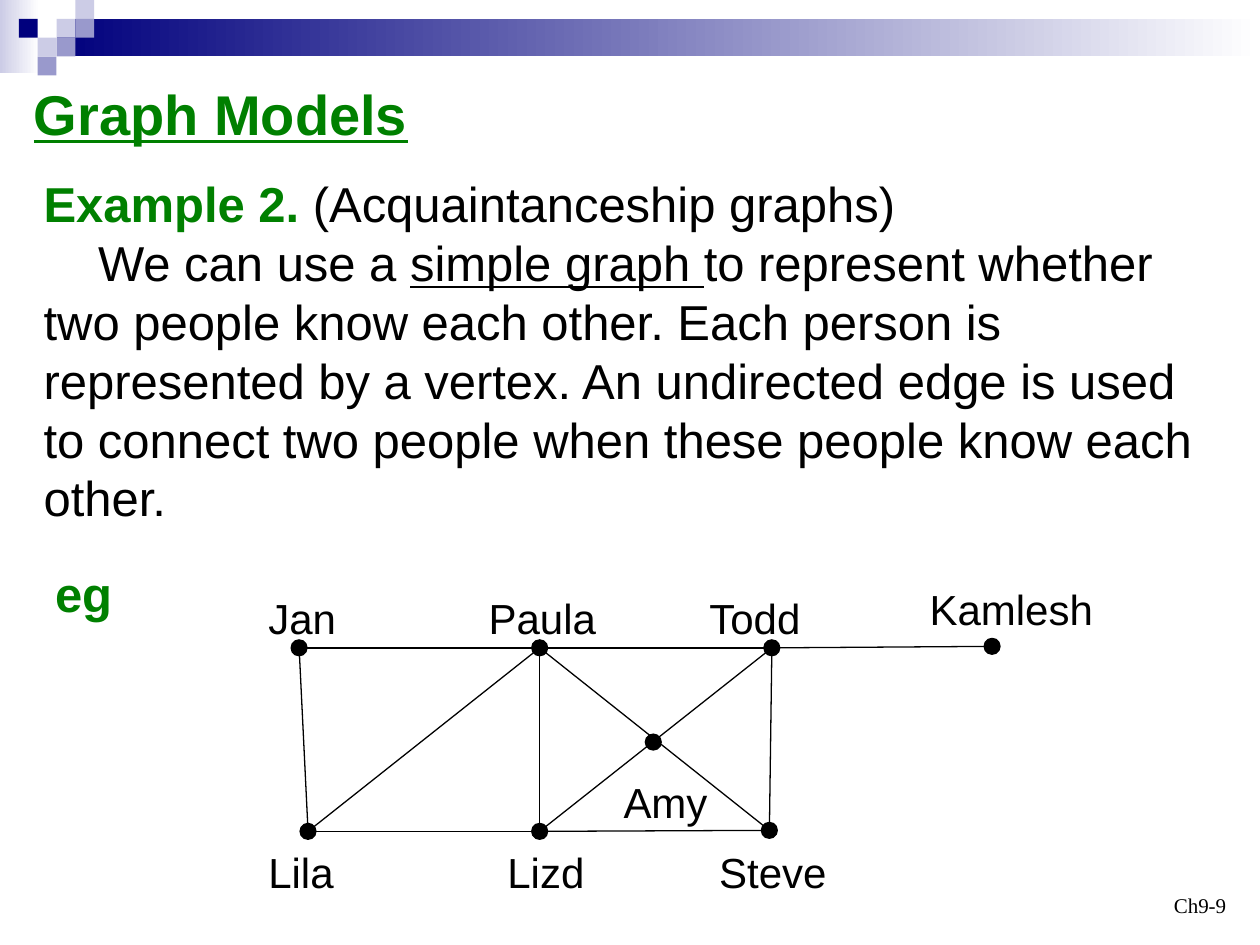
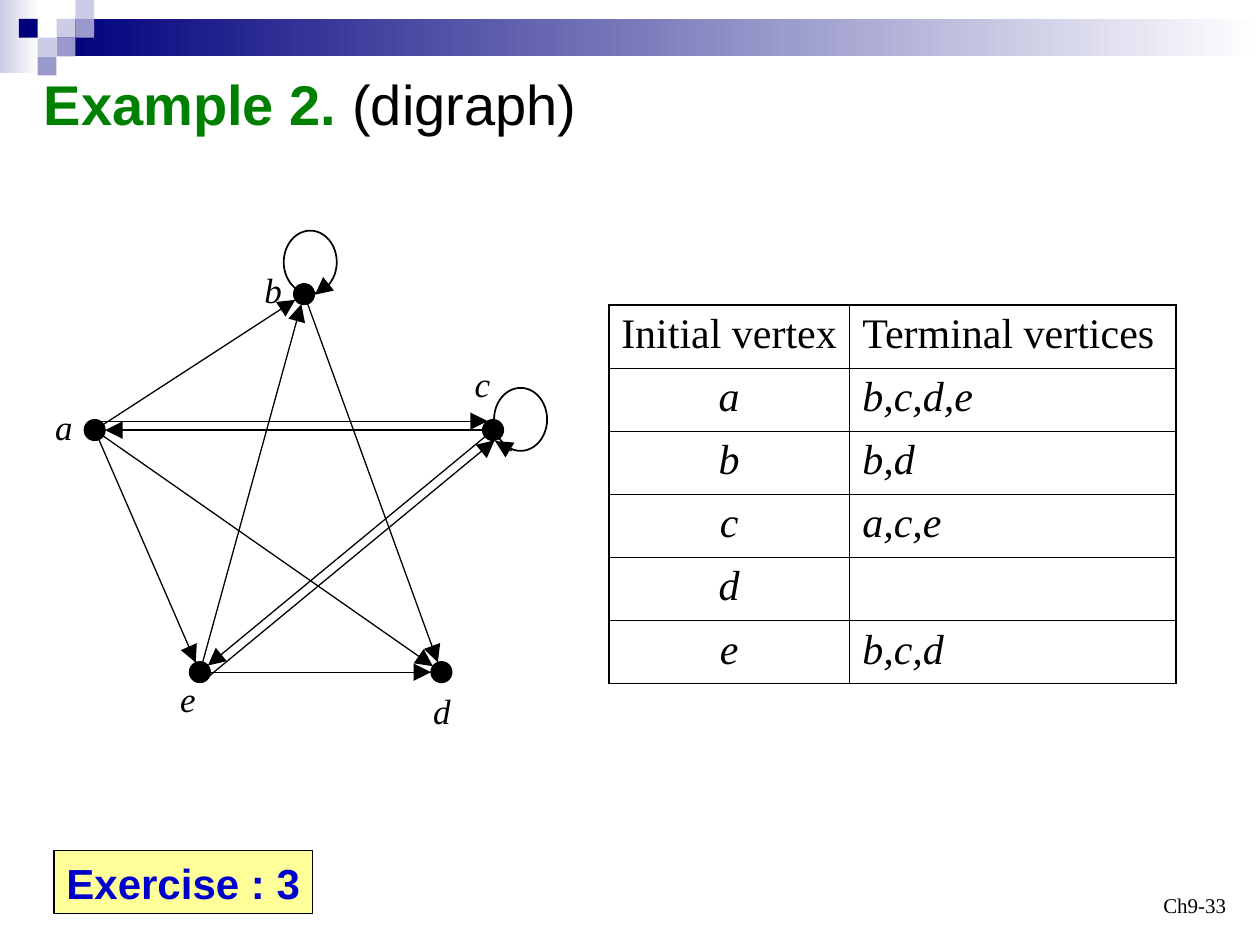
from math import hypot, sqrt

from lxml import etree
from pptx import Presentation
from pptx.dml.color import RGBColor
from pptx.enum.shapes import MSO_CONNECTOR, MSO_SHAPE
from pptx.enum.text import MSO_ANCHOR, MSO_AUTO_SIZE, PP_ALIGN
from pptx.oxml.ns import qn
from pptx.util import Cm, Pt

STRAIGHT = MSO_CONNECTOR.STRAIGHT
OVAL, RECTANGLE = MSO_SHAPE.OVAL, MSO_SHAPE.RECTANGLE
TOP, BOTTOM = MSO_ANCHOR.TOP, MSO_ANCHOR.BOTTOM
LEFT, CENTER, RIGHT = PP_ALIGN.LEFT, PP_ALIGN.CENTER, PP_ALIGN.RIGHT
NO_AUTOFIT = MSO_AUTO_SIZE.NONE

BLACK = RGBColor(0x00, 0x00, 0x00)
WHITE = RGBColor(0xFF, 0xFF, 0xFF)
GREEN = RGBColor(0x00, 0x80, 0x00)
NAVY = RGBColor(0x00, 0x00, 0x7D)
LAVENDER = RGBColor(0xCC, 0xCC, 0xE6)
PERIWINKLE = RGBColor(0x99, 0x99, 0xCC)
YELLOW = RGBColor(0xFF, 0xFF, 0x99)
BLUE = RGBColor(0x00, 0x00, 0xCC)

SANS, SERIF = "Arial", "Times New Roman"
HAIRLINE = 0.75
TILE = 0.38
TILES = [(3, 1, LAVENDER), (4, 0, LAVENDER), (4, 1, PERIWINKLE), (2, 2, LAVENDER),
         (1, 1, NAVY), (3, 2, PERIWINKLE), (2, 3, PERIWINKLE)]

PEOPLE = {
    "Jan": (1.03, 1.46), "Paula": (5.88, 1.46), "Todd": (10.56, 1.46),
    "Kamlesh": (15, 1.43), "Lila": (1.21, 5.16), "Lizd": (5.88, 5.16),
    "Steve": (10.51, 5.14), "Amy": (8.17, 3.36),
}
PEOPLE_LABELS = {
    "Jan": (0.16, 0.21, 2.1), "Paula": (4.6, 0.21, 2.9), "Todd": (9.05, 0.21, 2.7),
    "Kamlesh": (13.49, 0.03, 4.1), "Lila": (0.16, 5.34, 2.1),
    "Lizd": (4.98, 5.34, 2.3), "Steve": (9.25, 5.34, 2.9), "Amy": (7.32, 3.92, 2.5),
}
ACQUAINTANCES = [
    ("Jan", "Paula"), ("Jan", "Lila"), ("Paula", "Lizd"), ("Paula", "Steve"),
    ("Paula", "Lila"), ("Lila", "Lizd"), ("Paula", "Todd"), ("Todd", "Kamlesh"),
    ("Todd", "Steve"), ("Lizd", "Steve"), ("Todd", "Lizd"),
]

VERTICES = {"a": (1.11, 4.07), "b": (5.33, 1.33), "c": (9.14, 4.07),
            "d": (8.1, 8.95), "e": (3.23, 8.95)}
VERTEX_LABELS = {"a": (0.06, 3.45), "b": (4.28, 0.68), "c": (8.52, 2.59),
                 "d": (7.68, 9.17), "e": (2.58, 8.94)}
ARCS = [("a", "b", 0), ("a", "c", -0.18), ("a", "d", 0), ("a", "e", 0), ("b", "d", 0),
        ("c", "a", 0), ("c", "e", 0), ("e", "b", 0), ("e", "c", 0.18), ("e", "d", 0)]
LOOPS = {"b": ((-0.41, -1.28), (0.47, -0.19), (0.22, 0.01)),
         "c": ((0.02, -0.85), (0.37, 0.42), (0.04, 0.22))}
VERTEX_RADIUS = 0.21

ADJACENCY = [("Initial vertex", "Terminal vertices"), ("a", "b,c,d,e"), ("b", "b,d"),
             ("c", "a,c,e"), ("d", ""), ("e", "b,c,d")]


def set_font(font, size, name=SANS, color=BLACK, bold=False, italic=False):
    """Give a font its face, size, colour and weight."""
    font.name, font.size, font.bold, font.italic = name, Pt(size), bold, italic
    font.color.rgb = color


def add_text(slide, box, text, size, **style):
    """Add a one-paragraph text box and return its frame."""
    frame = slide.shapes.add_textbox(*map(Cm, box)).text_frame
    frame.word_wrap = True
    frame.text = text
    set_font(frame.paragraphs[0].font, size, **style)
    return frame


def add_figure(slide, preset, box, fill=None, line=None, weight=HAIRLINE):
    """Add a flat preset shape with an optional fill and outline."""
    figure = slide.shapes.add_shape(preset, *map(Cm, box))
    figure.shadow.inherit = False
    if fill is None:
        figure.fill.background()
    else:
        figure.fill.solid()
        figure.fill.fore_color.rgb = fill
    if line is None:
        figure.line.fill.background()
    else:
        figure.line.color.rgb = line
        figure.line.width = Pt(weight)
    return figure


def add_dot(slide, x, y, radius):
    """Add a black vertex centred on a point."""
    add_figure(slide, OVAL, (x - radius, y - radius, 2 * radius, 2 * radius), BLACK, BLACK)


def add_edge(slide, start, end, arrow=False):
    """Add a straight edge, with an arrowhead at its end if asked."""
    edge = slide.shapes.add_connector(STRAIGHT, *map(Cm, (*start, *end)))
    edge.line.color.rgb = BLACK
    edge.line.width = Pt(HAIRLINE)
    properties = edge.line._get_or_add_ln()
    if arrow:
        etree.SubElement(properties, qn("a:tailEnd"), type="triangle", w="lg", len="lg")
    etree.SubElement(edge._element.spPr, qn("a:effectLst"))


def add_gradient_band(slide, box, color):
    """Add a band that fades from a colour to white."""
    band = add_figure(slide, RECTANGLE, box)
    band.fill.gradient()
    band.fill.gradient_angle = 0
    for stop, shade in zip(band.fill.gradient_stops, (color, WHITE)):
        stop.color.rgb = shade


def add_page(deck, title_box, title_runs, page):
    """Add a slide with the shared header, its title and page number."""
    slide = deck.slides.add_slide(deck.slide_layouts[5])
    add_gradient_band(slide, (0, 0, 0.79, 1.47), LAVENDER)
    add_gradient_band(slide, (3 * TILE, TILE, 25.4 - 3 * TILE, 2 * TILE), NAVY)
    for column, row, color in TILES:
        add_figure(slide, RECTANGLE, (column * TILE, row * TILE, TILE, TILE), color)

    title = slide.shapes.title
    title.left, title.top, title.width, title.height = map(Cm, title_box)
    frame = title.text_frame
    frame.auto_size = NO_AUTOFIT
    frame.vertical_anchor = TOP
    heading = frame.paragraphs[0]
    heading.alignment = LEFT
    for text, color, bold, underline in title_runs:
        run = heading.add_run()
        run.text = text
        set_font(run.font, 32, color=color, bold=bold)
        run.font.underline = underline

    number = add_text(slide, (19.05, 17.35, 5.92, 1.27), page, 12, name=SERIF)
    number.vertical_anchor = BOTTOM
    number.paragraphs[0].alignment = RIGHT
    return slide


def add_explanation(slide, box):
    """Add the text that explains acquaintanceship graphs."""
    frame = slide.shapes.add_textbox(*map(Cm, box)).text_frame
    frame.word_wrap = True
    heading, body = frame.paragraphs[0], frame.add_paragraph()
    body._p.get_or_add_pPr().set("indent", str(Cm(1.1)))
    set_font(body.font, 28)
    for text, color, bold in (("Example 2.", GREEN, True),
                              (" (Acquaintanceship graphs)", BLACK, False)):
        run = heading.add_run()
        run.text = text
        set_font(run.font, 28, color=color, bold=bold)
    for text, underline in (
            ("We can use a ", False), ("simple graph ", True),
            ("to represent whether two people know each other. Each person is "
             "represented by a vertex. An undirected edge is used to connect two "
             "people when these people know each other.", False)):
        run = body.add_run()
        run.text = text
        run.font.underline = underline


def add_acquaintance_graph(slide, left, top):
    """Draw the people, their names and who knows whom."""
    places = {name: (left + x, top + y) for name, (x, y) in PEOPLE.items()}
    for one, other in ACQUAINTANCES:
        add_edge(slide, places[one], places[other])
    for name, place in places.items():
        add_dot(slide, *place, 0.16)
        x, y, width = PEOPLE_LABELS[name]
        add_text(slide, (left + x, top + y, width, 1.27), name, 24)


def add_arc(slide, start, end, shift):
    """Draw an arrow that stops at a vertex rim, moved sideways by shift."""
    dx, dy = end[0] - start[0], end[1] - start[1]
    length = hypot(dx, dy)
    ux, uy = dx / length, dy / length
    reach = length - sqrt(VERTEX_RADIUS ** 2 - shift ** 2)
    x, y = start[0] - uy * shift, start[1] + ux * shift
    add_edge(slide, (x, y), (x + ux * reach, y + uy * reach), arrow=True)


def add_digraph(slide, left, top):
    """Draw the directed graph with its loops and vertex names."""
    places = {name: (left + x, top + y) for name, (x, y) in VERTICES.items()}
    for origin, target, shift in ARCS:
        add_arc(slide, places[origin], places[target], shift)
    for name, offsets in LOOPS.items():
        x, y = places[name]
        corner, start, end = [(x + dx, y + dy) for dx, dy in offsets]
        add_figure(slide, OVAL, (*corner, 1.07, 1.27), line=BLACK, weight=1)
        add_edge(slide, start, end, arrow=True)
    for name, place in places.items():
        add_dot(slide, *place, VERTEX_RADIUS)
        x, y = VERTEX_LABELS[name]
        add_text(slide, (left + x, top + y, 0.9, 1.12), name, 20, name=SERIF, italic=True)


def set_borders(cell, weights):
    """Set the left, right, top and bottom borders of a cell."""
    properties = cell._tc.get_or_add_tcPr()
    for side, weight in zip("LRTB", weights):
        border = etree.SubElement(properties, qn(f"a:ln{side}"), w=str(Pt(weight)))
        fill = etree.SubElement(border, qn("a:solidFill"))
        etree.SubElement(fill, qn("a:srgbClr"), val=str(BLACK))


def add_adjacency_table(slide, left, top):
    """Add the table of initial and terminal vertices."""
    widths, row_height = (4.86, 6.57), 1.27
    last_row, last_column = len(ADJACENCY) - 1, len(widths) - 1
    table = slide.shapes.add_table(
        len(ADJACENCY), len(widths), Cm(left), Cm(top),
        Cm(sum(widths)), Cm(row_height * len(ADJACENCY))).table
    table.first_row = table.horz_banding = False
    for column, width in zip(table.columns, widths):
        column.width = Cm(width)
    for r, entries in enumerate(ADJACENCY):
        for c, entry in enumerate(entries):
            cell = table.cell(r, c)
            outer = (c == 0, c == last_column, r == 0, r == last_row)
            set_borders(cell, [1.08 if edge else 0.45 for edge in outer])
            cell.fill.background()
            cell.text = entry
            paragraph = cell.text_frame.paragraphs[0]
            paragraph.alignment = CENTER if r and c == 0 else LEFT
            set_font(paragraph.font, 24, name=SERIF, italic=r > 0)


def add_exercise(slide, box):
    """Add the yellow exercise tag."""
    tag = add_figure(slide, RECTANGLE, box, YELLOW, BLACK)
    frame = tag.text_frame
    frame.word_wrap = True
    frame.margin_right = Cm(0.1)
    frame.text = "Exercise : 3"
    frame.paragraphs[0].alignment = LEFT
    set_font(frame.paragraphs[0].font, 24, color=BLUE, bold=True)


def build_graph_models(deck):
    """Build the slide on acquaintanceship graphs."""
    slide = add_page(deck, (0.43, 1.47, 24.13, 1.63),
                     [("Graph Models", GREEN, True, True)], "Ch9-9")
    add_explanation(slide, (0.63, 3.38, 24.13, 7.37))
    add_text(slide, (0.86, 11.23, 2, 1.45), "eg", 28, color=GREEN, bold=True)
    add_acquaintance_graph(slide, 5, 11.6)


def build_digraph(deck):
    """Build the slide on the digraph and its adjacency table."""
    slide = add_page(deck, (0.63, 1.27, 12.7, 2.11),
                     [("Example 2.", GREEN, True, False),
                      (" (digraph)", BLACK, False, False)], "Ch9-33")
    add_digraph(slide, 0.8, 4.6)
    add_adjacency_table(slide, 12.27, 6.15)
    add_exercise(slide, (1.09, 17.15, 5.21, 1.27))


def main():
    """Build and save the deck."""
    deck = Presentation()
    deck.slide_width, deck.slide_height = Cm(25.4), Cm(19.05)
    build_graph_models(deck)
    build_digraph(deck)
    deck.save("out.pptx")


if __name__ == "__main__":
    main()
